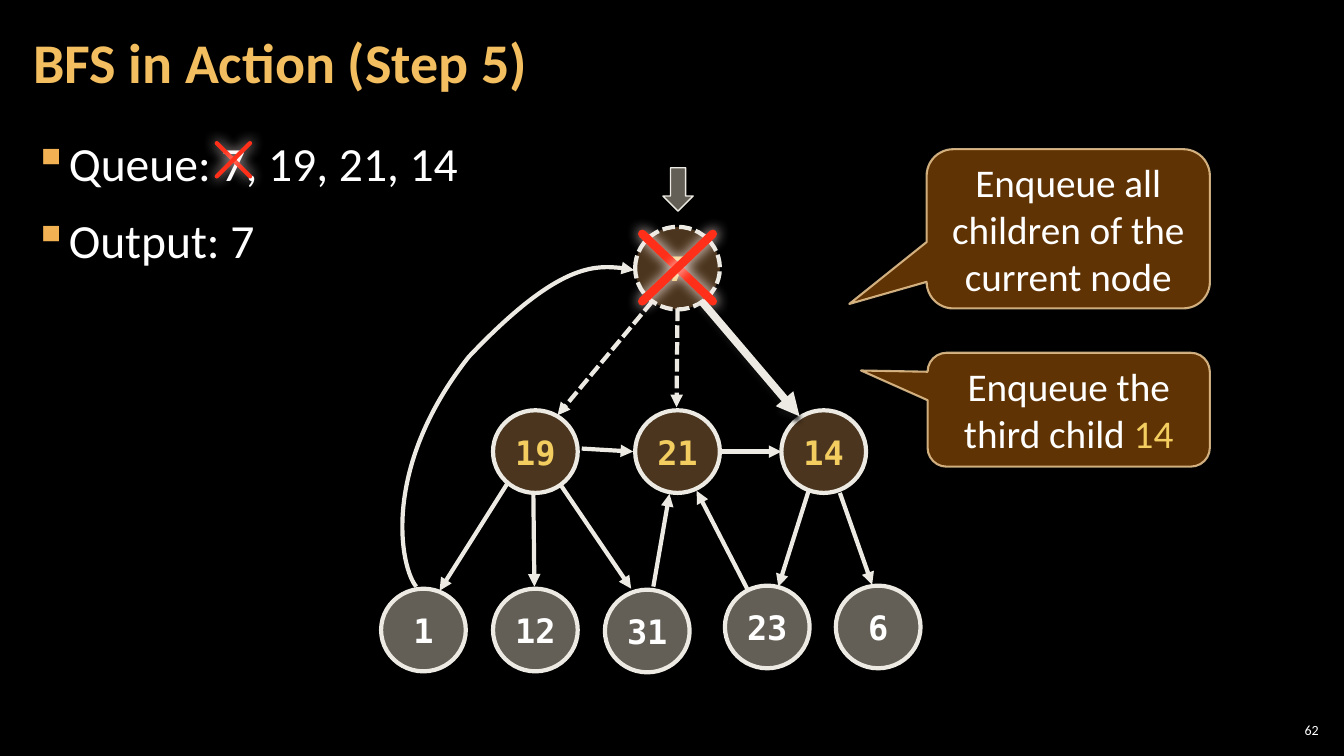
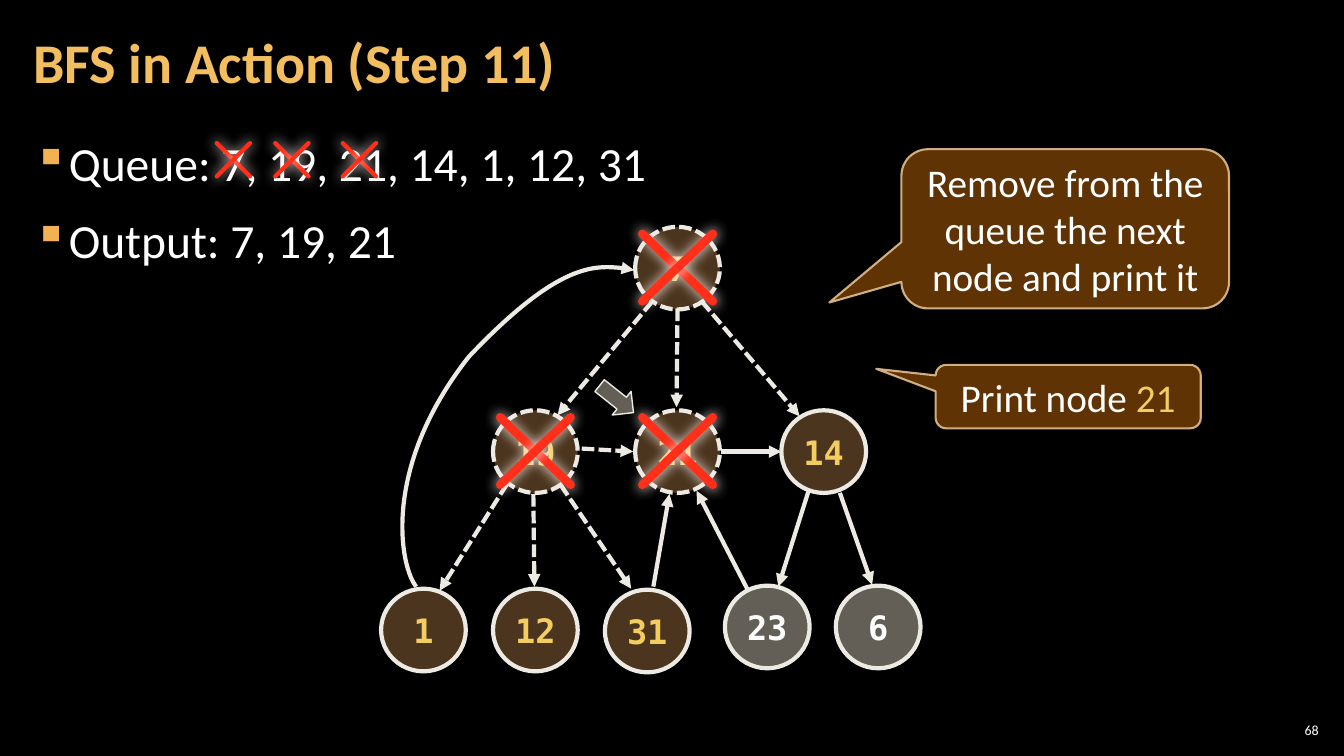
from lxml import etree
from pptx import Presentation
from pptx import util as u
from pptx.dml.color import RGBColor
from pptx.enum import dml, shapes, text
from pptx.oxml.ns import qn

# Shared colours and fonts
BLACK = RGBColor(0x00, 0x00, 0x00)
WHITE = RGBColor(0xFF, 0xFF, 0xFF)
TITLE_GOLD = RGBColor(0xF3, 0xBE, 0x60)
BULLET_GOLD = RGBColor(0xF2, 0xB2, 0x54)
MARK_GOLD = RGBColor(0xF3, 0xCD, 0x60)
CALLOUT_FILL = RGBColor(0x66, 0x36, 0x06)
CALLOUT_EDGE = RGBColor(0xF8, 0xD4, 0x9E)
QUEUED_FILL = RGBColor(0x6C, 0x4C, 0x2C)
FRESH_FILL = RGBColor(0xC7, 0xBF, 0xAC)
OUTLINE = RGBColor(0xEC, 0xEA, 0xE3)
CROSS_RED = RGBColor(0xFF, 0x2F, 0x19)
CROSS_GLOW = RGBColor(0xFF, 0xED, 0xEB)
EDGE_SHADE = RGBColor(0x0D, 0x0D, 0x0D)
BODY_FONT = "Calibri"
NODE_FONT = "DejaVu Sans Mono"

# Graph geometry in inches, relative to the graph's left and top
GRAPH_BOX = (3.78, 2.25)
NODE_WIDTH, NODE_HEIGHT = 0.84, 0.82
NODES = {
    7: (2.52, 0), 19: (1.11, 1.82), 21: (2.52, 1.82), 14: (3.97, 1.82),
    1: (0, 3.59), 12: (1.11, 3.59), 31: (2.22, 3.6),
    23: (3.41, 3.56), 6: (4.51, 3.56),
}
EDGES = {
    (7, 19): (2.69, 0.74, 1.75, 1.87),
    (7, 21): (2.94, 0.81, 2.93, 1.79),
    (7, 14): (3.18, 0.74, 4.15, 1.88),
    (19, 1): (1.25, 2.55, 0.58, 3.61),
    (19, 12): (1.51, 2.65, 1.52, 3.57),
    (19, 31): (1.78, 2.56, 2.48, 3.59),
    (19, 21): (1.99, 2.2, 2.5, 2.23),
    (21, 14): (3.37, 2.23, 3.97, 2.23),
    (14, 23): (4.24, 2.62, 3.94, 3.57),
    (14, 6): (4.55, 2.64, 4.87, 3.55),
    (31, 21): (2.7, 3.57, 2.86, 2.65),
    (23, 21): (3.63, 3.59, 3.13, 2.62),
}
# Start point, then three Bezier points for each half of the edge from 1 to 7
BACK_EDGE = [(0.35, 3.57), (0.2, 3.4), (-0.02, 2.42), (0.87, 1.29),
             (1.76, 0.35), (2.26, 0.37), (2.51, 0.43)]
QUEUE_CROSS_LEFTS = [2.15, 2.73, 3.4]

STEPS = [
    dict(
        title="BFS in Action (Step 5)", number="62",
        lines=["Queue: 7, 19, 21, 14", "Output: 7"],
        queued={7, 19, 21, 14}, done=[7],
        followed={(7, 19), (7, 21)}, current=(7, 14),
        pointer=(2.73, -0.52, 90),
        callouts=[
            ((9.19, 1.48, 2.81, 1.58), (-0.773, 0.472),
             "Enqueue all children of the current node", ""),
            ((9.2, 3.5, 2.8, 1.13), (-0.736, -0.344),
             "Enqueue the third child ", "14"),
        ],
    ),
    dict(
        title="BFS in Action (Step 11)", number="68",
        lines=["Queue: 7, 19, 21, 14, 1, 12, 31", "Output: 7, 19, 21"],
        queued={7, 19, 21, 14, 1, 12, 31}, done=[7, 19, 21],
        followed={edge for edge in EDGES if edge[0] in (7, 19)}, current=None,
        pointer=(2.12, 1.56, 38.5),
        callouts=[
            ((8.94, 1.48, 3.25, 1.58), (-0.72, 0.463),
             "Remove from the queue the next node and print it", ""),
            ((9.28, 3.62, 2.63, 0.63), (-0.724, -0.437), "Print node ", "21"),
        ],
    ),
]


def inches(*lengths):
    return [u.Inches(length) for length in lengths]


def child(parent, tag, **attributes):
    """Append a drawing element and return it."""
    node = etree.SubElement(parent, qn(tag))
    for name, value in attributes.items():
        node.set(name, str(value))
    return node


def write(para, words, size=28, color=WHITE, font=BODY_FONT, bold=False):
    span = para.add_run()
    span.text = words
    span.font.size = u.Pt(size)
    span.font.name = font
    span.font.bold = bold
    span.font.color.rgb = color


def set_frame(frame, insets, anchor=text.MSO_ANCHOR.MIDDLE, wrap=True):
    frame.auto_size = text.MSO_AUTO_SIZE.NONE
    frame.word_wrap = wrap
    frame.vertical_anchor = anchor
    side, edge = inches(*insets)
    frame.margin_left = frame.margin_right = side
    frame.margin_top = frame.margin_bottom = edge


def paint(fill, color, opacity=100):
    fill.solid()
    fill.fore_color.rgb = color
    if opacity < 100:
        for tone in fill._xPr.iter(qn("a:srgbClr")):
            child(tone, "a:alpha", val=opacity * 1000)


def outline(item, color=OUTLINE, width=3, dashed=False, opacity=100,
            arrow=False, rounded=False):
    line = item.line
    line.width = u.Pt(width)
    paint(line.fill, color, opacity)
    if dashed:
        line.dash_style = dml.MSO_LINE.SQUARE_DOT
    properties = line._get_or_add_ln()
    if rounded:
        properties.set("cap", "rnd")
    if arrow:
        child(properties, "a:tailEnd", type="triangle")


def connect(page, ends, shadow=None, **style):
    """Draw a line; shadow is (colour, blur, distance) in points."""
    line = page.shapes.add_connector(shapes.MSO_CONNECTOR.STRAIGHT, *inches(*ends))
    outline(line, **style)
    effects = child(line._element.spPr, "a:effectLst")
    if shadow:
        color, blur, distance = shadow
        cast = child(effects, "a:outerShdw", blurRad=u.Pt(blur), dist=u.Pt(distance),
                     dir=5400000, algn="ctr", rotWithShape=0)
        child(cast, "a:srgbClr", val=color)


def add_shape(page, kind, box, color, opacity):
    shape = page.shapes.add_shape(kind, *inches(*box))
    shape.shadow.inherit = False
    paint(shape.fill, color, opacity)
    return shape


def add_cross(page, left, top, width, height, weight):
    right, bottom = left + width, top + height
    for ends in ((left, top, right, bottom), (right, top, left, bottom)):
        connect(page, ends, shadow=(CROSS_GLOW, 10, 0), color=CROSS_RED,
                width=weight, rounded=True)


def add_title(page, words, box):
    title = page.shapes.title
    title.left, title.top, title.width, title.height = inches(*box)
    set_frame(title.text_frame, (0.12, 0.04))
    para = title.text_frame.paragraphs[0]
    para.alignment = text.PP_ALIGN.LEFT
    para.line_spacing = 0.9
    write(para, words, size=40, color=TITLE_GOLD, bold=True)


def add_bullets(page, lines, box):
    frame = page.shapes.add_textbox(*inches(*box)).text_frame
    set_frame(frame, (0.12, 0.04), anchor=text.MSO_ANCHOR.TOP)
    for index, words in enumerate(lines):
        para = frame.paragraphs[0] if index == 0 else frame.add_paragraph()
        para.line_spacing = 1.05
        para.space_before = u.Pt(6 if index else 0)
        para.space_after = u.Pt(6)
        properties = para._p.get_or_add_pPr()
        properties.set("marL", str(u.Inches(0.33)))
        properties.set("indent", str(-u.Inches(0.33)))
        child(child(properties, "a:buClr"), "a:srgbClr", val=BULLET_GOLD)
        child(properties, "a:buChar", char="▪")
        write(para, words, size=34)


def add_number(page, number, box):
    frame = page.shapes.add_textbox(*inches(*box)).text_frame
    set_frame(frame, (0.04, 0.04))
    frame.paragraphs[0].alignment = text.PP_ALIGN.RIGHT
    write(frame.paragraphs[0], number, size=10)


def add_callout(page, box, tip, words, marked):
    callout = add_shape(page, shapes.MSO_SHAPE.ROUNDED_RECTANGULAR_CALLOUT,
                        box, CALLOUT_FILL, 95)
    for index, value in enumerate((*tip, 0.167)):
        callout.adjustments[index] = value
    outline(callout, color=CALLOUT_EDGE, width=1.5, opacity=80)
    set_frame(callout.text_frame, (0.1, 0.05))
    para = callout.text_frame.paragraphs[0]
    para.alignment = text.PP_ALIGN.CENTER
    write(para, words)
    if marked:
        write(para, marked, color=MARK_GOLD)


def add_node(page, value, left, top, queued, done):
    fill, opacity, color = (QUEUED_FILL, 70, MARK_GOLD) if queued else (FRESH_FILL, 50, WHITE)
    node = add_shape(page, shapes.MSO_SHAPE.OVAL,
                     (left, top, NODE_WIDTH, NODE_HEIGHT), fill, opacity)
    outline(node, dashed=done)
    set_frame(node.text_frame, (0.1, 0.05), wrap=False)
    para = node.text_frame.paragraphs[0]
    para.alignment = text.PP_ALIGN.CENTER
    write(para, str(value), size=24, color=color, font=NODE_FONT, bold=True)


def add_curve(page, points):
    """Draw an open curve through Bezier points, ending in an arrow."""
    start, *rest = [tuple(inches(*point)) for point in points]
    builder = page.shapes.build_freeform(*start)
    builder.add_line_segments(rest, close=False)
    curve = builder.convert_to_shape()
    curve.shadow.inherit = False
    curve.fill.background()
    outline(curve, arrow=True)
    # Turn each three straight segments into one cubic segment
    outline_path = next(curve._element.iter(qn("a:path")))
    segments = outline_path.findall(qn("a:lnTo"))
    for first in range(0, len(segments), 3):
        cubic = child(outline_path, "a:cubicBezTo")
        for segment in segments[first:first + 3]:
            cubic.append(segment[0])
            outline_path.remove(segment)


def add_graph(page, step, origin):
    left, top = origin
    for value, (x, y) in NODES.items():
        add_node(page, value, left + x, top + y,
                 value in step["queued"], value in step["done"])
    # Edges: dashed once followed, heavy while being followed
    for edge, (x1, y1, x2, y2) in EDGES.items():
        current = edge == step["current"]
        connect(page, (left + x1, top + y1, left + x2, top + y2), arrow=True,
                dashed=edge in step["followed"], width=5.5 if current else 3,
                shadow=(EDGE_SHADE, 4, 4) if current else None)
    add_curve(page, [(left + x, top + y) for x, y in BACK_EDGE])
    # Crosses over the finished nodes
    for value in step["done"]:
        x, y = NODES[value]
        add_cross(page, left + x + 0.07, top + y + 0.07, 0.7, 0.67, 6)
    # Pointer at the current node
    x, y, angle = step["pointer"]
    pointer = add_shape(page, shapes.MSO_SHAPE.RIGHT_ARROW,
                        (left + x, top + y, 0.43, 0.3), FRESH_FILL, 50)
    pointer.rotation = angle
    outline(pointer, width=1)


def add_step(deck, step):
    page = deck.slides.add_slide(deck.slide_layouts[5])
    add_number(page, step["number"], (12.65, 7.14, 0.47, 0.21))
    add_bullets(page, step["lines"], (0.21, 1.26, 12.91, 6.09))
    add_title(page, step["title"], (0.21, 0.04, 10.47, 1.21))
    for left in QUEUE_CROSS_LEFTS[:len(step["done"])]:
        add_cross(page, left, 1.42, 0.33, 0.33, 3)
    add_graph(page, step, GRAPH_BOX)
    for callout in step["callouts"]:
        add_callout(page, *callout)


def main():
    deck = Presentation()
    deck.slide_width, deck.slide_height = inches(13.33, 7.5)
    paint(deck.slide_master.background.fill, BLACK)
    for step in STEPS:
        add_step(deck, step)
    deck.save("out.pptx")


if __name__ == "__main__":
    main()
